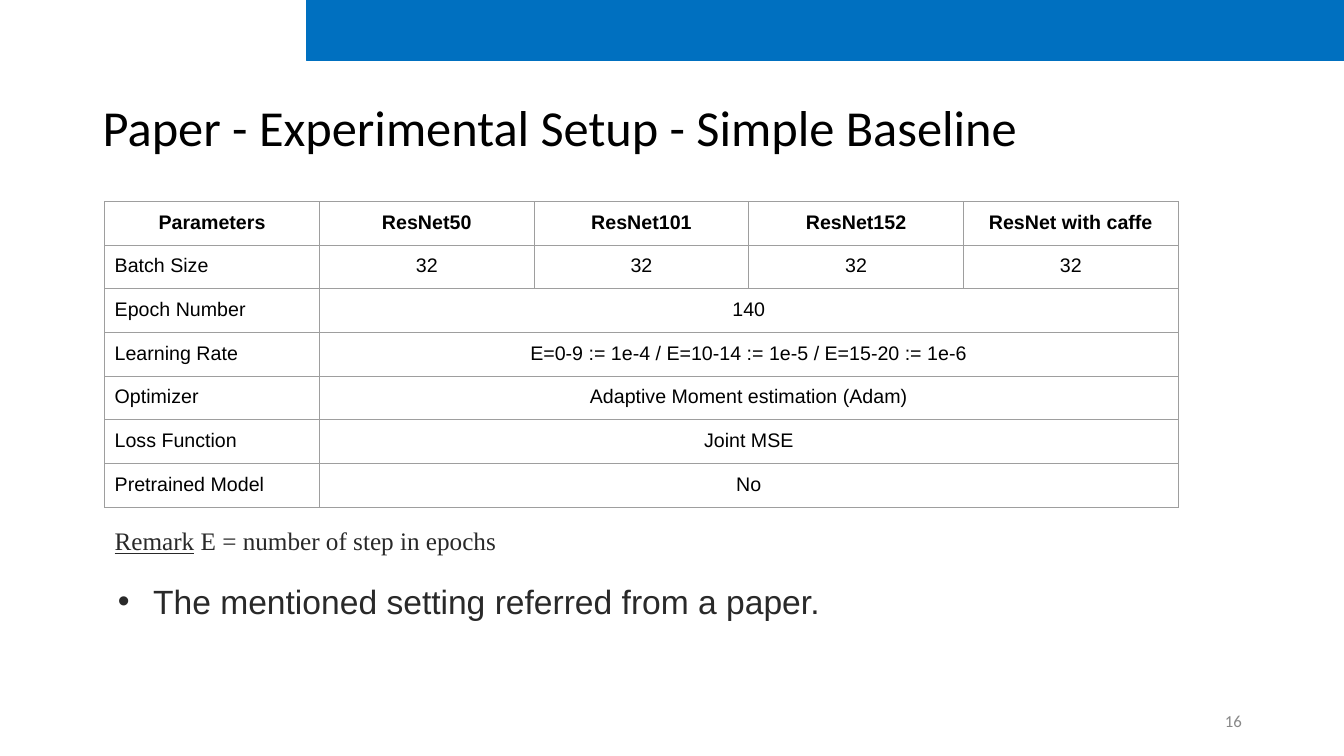
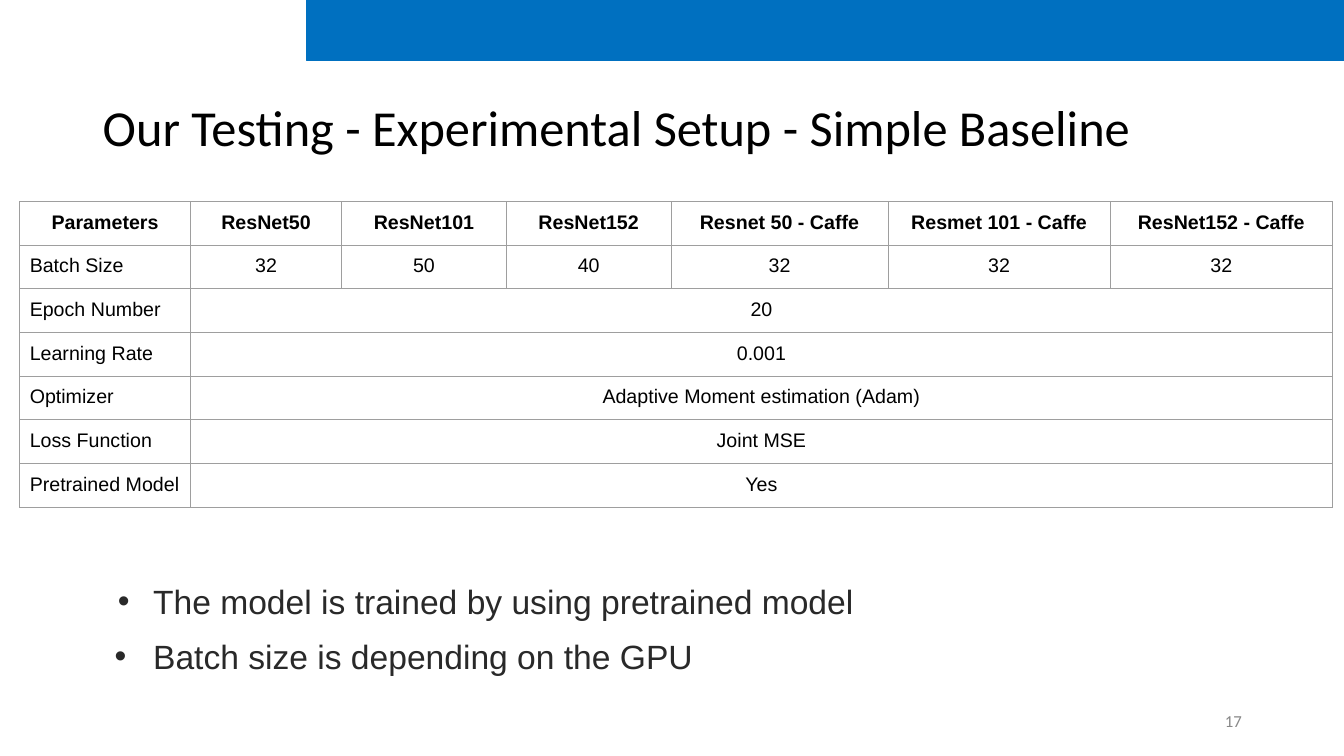
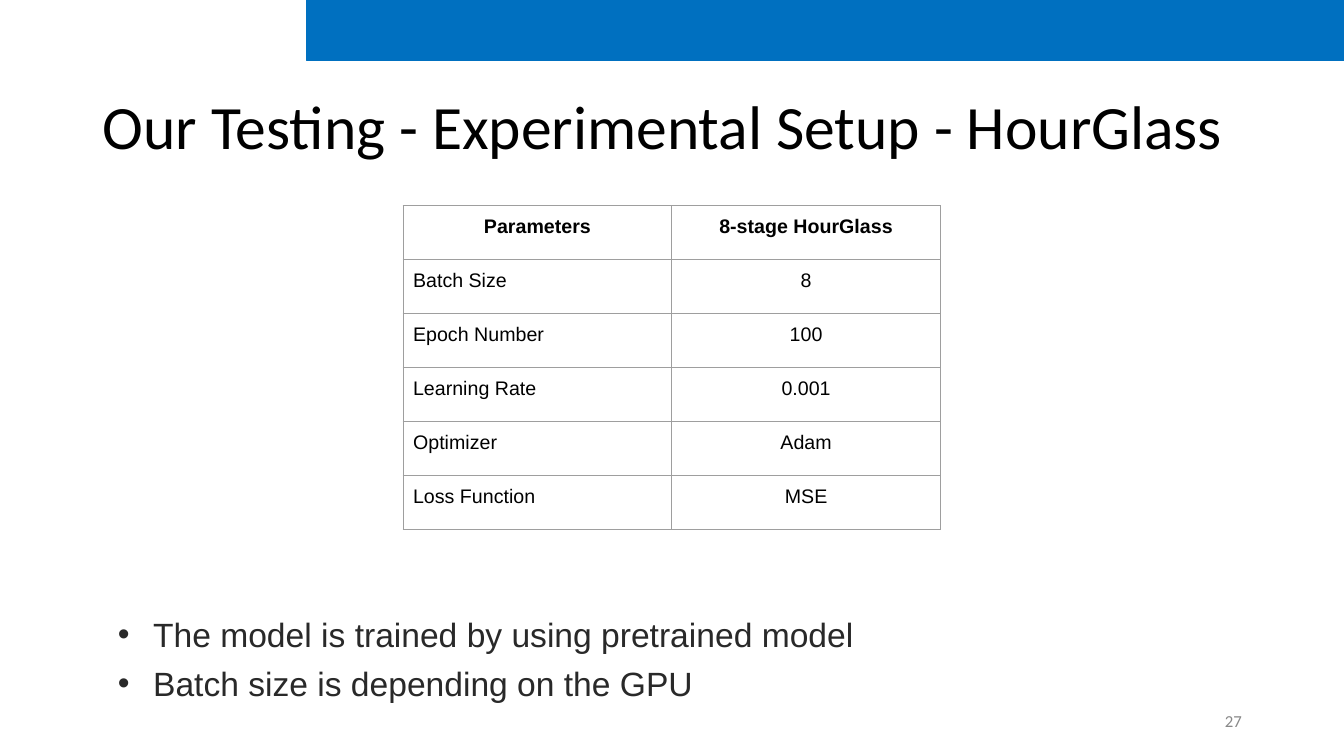
from lxml.etree import SubElement
from pptx import Presentation
from pptx.dml.color import RGBColor
from pptx.enum.shapes import MSO_SHAPE
from pptx.enum.text import MSO_ANCHOR, PP_ALIGN
from pptx.oxml.ns import qn
from pptx.util import Cm, Pt

BLUE = RGBColor(0x00, 0x70, 0xC0)
BLACK = RGBColor(0x00, 0x00, 0x00)
DARK = RGBColor(0x29, 0x29, 0x29)
GREY = RGBColor(0x88, 0x88, 0x88)
RULE = RGBColor(0x9E, 0x9E, 0x9E)

RECT = MSO_SHAPE.RECTANGLE
TOP, MIDDLE = MSO_ANCHOR.TOP, MSO_ANCHOR.MIDDLE
LEFT, CENTER, RIGHT = PP_ALIGN.LEFT, PP_ALIGN.CENTER, PP_ALIGN.RIGHT

# Text styles
TITLE = {"name": "Calibri", "size": Pt(36), "color": BLACK}
BODY = {"name": "Arial", "size": Pt(24), "color": DARK}
NOTE = {"name": "Times New Roman", "size": Pt(18), "color": DARK}
PAGE = {"name": "Calibri", "size": Pt(12), "color": GREY}
CELL = {"name": "Arial", "size": Pt(14), "color": BLACK, "bold": False}
HEAD = CELL | {"bold": True}

EDGE = 2.34    # left edge of the text boxes, in cm
WIDE = 29.21   # width of the text boxes, in cm
PAD = Cm(0.25)


def style(font, look):
    for key, value in look.items():
        if key == "color":
            font.color.rgb = value
        else:
            setattr(font, key, value)


def add_run(para, text, look):
    run = para.add_run()
    run.text = text
    style(run.font, look)


def add_box(slide, place, anchor=TOP):
    frame = slide.shapes.add_textbox(*map(Cm, place)).text_frame
    form = {"word_wrap": True, "vertical_anchor": anchor,
            "margin_left": PAD, "margin_right": PAD,
            "margin_top": Cm(0.13), "margin_bottom": Cm(0.13)}
    for key, value in form.items():
        setattr(frame, key, value)
    return frame


def add_line(frame, text, look, align=LEFT, space=1.0):
    para = frame.paragraphs[0]
    para.alignment = align
    para.line_spacing = space
    add_run(para, text, look)
    return para


def start_slide(deck, title, page, size=36):
    slide = deck.slides.add_slide(deck.slide_layouts[6])
    # Title
    frame = add_box(slide, (EDGE, 1.88, WIDE, 2.79), MIDDLE)
    add_line(frame, title, TITLE | {"size": Pt(size)}, space=0.9)
    # Top band
    band = slide.shapes.add_shape(RECT, *map(Cm, (7.72, 0, 26.15, 1.52)))
    band.shadow.inherit = False
    band.fill.solid()
    band.fill.fore_color.rgb = BLUE
    band.line.color.rgb = BLUE
    band.line.width = Pt(1)
    # Page number
    frame = add_box(slide, (23.93, 17.65, 7.62, 1.02), MIDDLE)
    add_line(frame, str(page), PAGE, RIGHT)
    return slide


def add_points(slide, top, points, gap=2, hang=0.89):
    """List bullets; gap and hang apply to those after the first."""
    frame = add_box(slide, (EDGE, top, WIDE, 2.79))
    for i, text in enumerate(points):
        para = frame.add_paragraph() if i else frame.paragraphs[0]
        para.line_spacing = 1.15
        para.space_before = Pt(gap if i else 0)
        props = para._p.get_or_add_pPr()
        props.set("marL", str(Cm(1.27)))
        props.set("indent", str(-Cm(hang if i else 0.89)))
        tint = SubElement(props, qn("a:buClr"))
        SubElement(tint, qn("a:srgbClr"), val=str(DARK))
        SubElement(props, qn("a:buFont"), typeface="Arial")
        SubElement(props, qn("a:buChar"), char="•")
        add_run(para, text, BODY)


def rule_cell(cell):
    props = cell._tc.get_or_add_tcPr()
    for side in ("a:lnL", "a:lnR", "a:lnT", "a:lnB"):
        line = SubElement(props, qn(side), w=str(Pt(0.75)))
        fill = SubElement(line, qn("a:solidFill"))
        SubElement(fill, qn("a:srgbClr"), val=str(RULE))
    cell.fill.background()


def add_grid(slide, left, top, widths, height, rows):
    """Draw a table; a row of two values spans its second to the end."""
    size = len(rows), len(widths)
    grid = slide.shapes.add_table(
        *size, Cm(left), Cm(top), Cm(sum(widths)),
        Cm(height * len(rows))).table
    grid.first_row = grid.horz_banding = False
    for col, width in zip(grid.columns, widths):
        col.width = Cm(width)
    for r, texts in enumerate(rows):
        grid.rows[r].height = Cm(height)
        for c in range(len(widths)):
            rule_cell(grid.cell(r, c))
        if len(texts) < len(widths):
            grid.cell(r, 1).merge(grid.cell(r, len(widths) - 1))
        for c, text in enumerate(texts):
            cell = grid.cell(r, c)
            for side in ("left", "right", "top", "bottom"):
                setattr(cell, "margin_" + side, PAD)
            add_line(cell.text_frame, text, CELL if r else HEAD,
                     LEFT if r and not c else CENTER)


def main():
    deck = Presentation()
    deck.slide_width, deck.slide_height = Cm(33.87), Cm(19.05)

    # Setup in the paper
    slide = start_slide(
        deck, "Paper - Experimental Setup - Simple Baseline", 16)
    add_points(slide, 14.35, ["The mentioned setting referred from a paper."])
    add_grid(slide, 2.64, 5.08, [5.41] * 5, 1.1, [
        ["Parameters", "ResNet50", "ResNet101", "ResNet152",
         "ResNet with caffe"],
        ["Batch Size"] + ["32"] * 4,
        ["Epoch Number", "140"],
        ["Learning Rate",
         "E=0-9 := 1e-4 / E=10-14 := 1e-5 / E=15-20 := 1e-6"],
        ["Optimizer", "Adaptive Moment estimation (Adam)"],
        ["Loss Function", "Joint MSE"],
        ["Pretrained Model", "No"],
    ])
    frame = add_box(slide, (2.64, 13, WIDE, 1.47))
    para = add_line(frame, "Remark", NOTE | {"underline": True}, space=1.15)
    add_run(para, " E = number of step in epochs", NOTE)

    # Setup in our test
    points = ["The model is trained by using pretrained model",
              "Batch size is depending on the GPU"]
    slide = start_slide(
        deck, "Our Testing - Experimental Setup - Simple Baseline", 17)
    add_points(slide, 14.35, points, gap=6, hang=0.97)
    widths = [4.3, 3.81, 4.15, 4.15, 5.47, 5.6, 5.6]
    add_grid(slide, 0.5, 5.08, widths, 1.1, [
        ["Parameters", "ResNet50", "ResNet101", "ResNet152",
         "Resnet 50 - Caffe", "Resmet 101 - Caffe", "ResNet152 - Caffe"],
        ["Batch Size", "32", "50", "40", "32", "32", "32"],
        ["Epoch Number", "20"],
        ["Learning Rate", "0.001"],
        ["Optimizer", "Adaptive Moment estimation (Adam)"],
        ["Loss Function", "Joint MSE"],
        ["Pretrained Model", "Yes"],
    ])

    # Setup of the second model
    slide = start_slide(
        deck, "Our Testing - Experimental Setup - HourGlass", 27, 44)
    add_points(slide, 15.19, points)
    add_grid(slide, 10.16, 5.18, [6.77] * 2, 1.36, [
        ["Parameters", "8-stage HourGlass"],
        ["Batch Size", "8"],
        ["Epoch Number", "100"],
        ["Learning Rate", "0.001"],
        ["Optimizer", "Adam"],
        ["Loss Function", "MSE"],
    ])

    deck.save("out.pptx")


if __name__ == "__main__":
    main()
